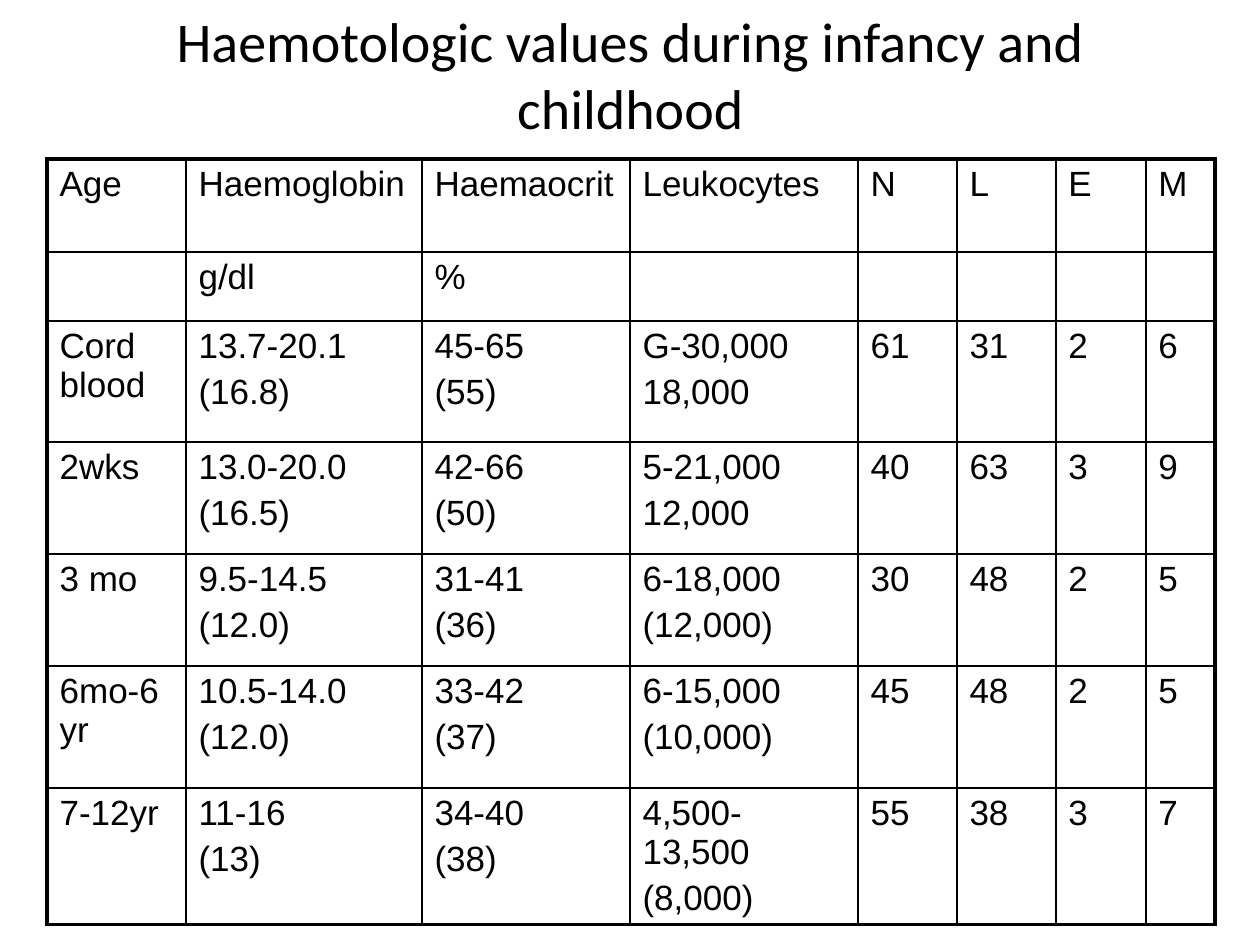
from lxml import etree
from pptx import Presentation
from pptx.dml.color import RGBColor
from pptx.enum.text import MSO_ANCHOR, PP_ALIGN
from pptx.oxml.ns import qn
from pptx.util import Pt

EMU_PER_PX = 914400 / 126
COLORS = {"ink": "000000", "paper": "FFFFFF"}
COLUMN_WIDTHS = [139, 236, 208, 228, 99, 99, 90, 69]
ROW_HEIGHTS = [93, 69, 121, 112, 112, 122, 112]
ROWS = [
    ["Age", "Haemoglobin", "Haemaocrit", "Leukocytes", "N", "L", "E", "M"],
    ["", "g/dl", "%", "", "", "", "", ""],
    ["Cord blood", "13.7-20.1\n(16.8)", "45-65\n(55)", "G-30,000\n18,000", "61", "31", "2", "6"],
    ["2wks", "13.0-20.0\n(16.5)", "42-66\n(50)", "5-21,000\n12,000", "40", "63", "3", "9"],
    ["3 mo", "9.5-14.5\n(12.0)", "31-41\n(36)", "6-18,000\n(12,000)", "30", "48", "2", "5"],
    ["6mo-6yr", "10.5-14.0\n(12.0)", "33-42\n(37)", "6-15,000\n(10,000)", "45", "48", "2", "5"],
    ["7-12yr", "11-16\n(13)", "34-40\n(38)", "4,500-13,500\n(8,000)", "55", "38", "3", "7"],
]


def px(pixels):
    """Turn pixels into EMU."""
    return round(pixels * EMU_PER_PX)


def add_border(cell, side, points):
    """Draw one solid border (L, R, T or B) of a cell."""
    line = etree.SubElement(cell._tc.get_or_add_tcPr(), qn(f"a:ln{side}"), w=str(Pt(points)))
    fill = etree.SubElement(line, qn("a:solidFill"))
    etree.SubElement(fill, qn("a:srgbClr"), val=COLORS["ink"])


ink = RGBColor.from_string(COLORS["ink"])
prs = Presentation()
prs.slide_width, prs.slide_height = px(1260), px(945)
slide = prs.slides.add_slide(prs.slide_layouts[5])
slide.background.fill.solid()
slide.background.fill.fore_color.rgb = RGBColor.from_string(COLORS["paper"])

title = slide.shapes.title
title.left, title.top, title.width, title.height = px(116), px(0), px(1029), px(147)
title.text_frame.text = "Haemotologic values during infancy and childhood"
title.text_frame.word_wrap = True
title.text_frame.vertical_anchor = MSO_ANCHOR.MIDDLE
heading = title.text_frame.paragraphs[0]
heading.alignment = PP_ALIGN.CENTER
heading.font.name, heading.font.size = "Calibri", Pt(32)
heading.font.color.rgb = ink

table = slide.shapes.add_table(
    len(ROWS), len(COLUMN_WIDTHS), px(47), px(159), px(sum(COLUMN_WIDTHS)), px(sum(ROW_HEIGHTS))
).table
table.first_row = table.horz_banding = False
for column, width in zip(table.columns, COLUMN_WIDTHS):
    column.width = px(width)
for row, height in zip(table.rows, ROW_HEIGHTS):
    row.height = px(height)

last_row, last_column = len(ROWS) - 1, len(COLUMN_WIDTHS) - 1
for r, values in enumerate(ROWS):
    for c, value in enumerate(values):
        cell = table.cell(r, c)
        outer_sides = {"L": c == 0, "R": c == last_column, "T": r == 0, "B": r == last_row}
        for side, is_outer in outer_sides.items():
            add_border(cell, side, 2.25 if is_outer else 1)
        cell.fill.background()
        cell.text = value
        for paragraph in cell.text_frame.paragraphs:
            space = etree.SubElement(paragraph._p.get_or_add_pPr(), qn("a:spcBef"))
            etree.SubElement(space, qn("a:spcPct"), val="20000")
            for run in paragraph.runs:
                run.font.name, run.font.size = "Arial", Pt(20)
                run.font.color.rgb = ink

prs.save("out.pptx")
